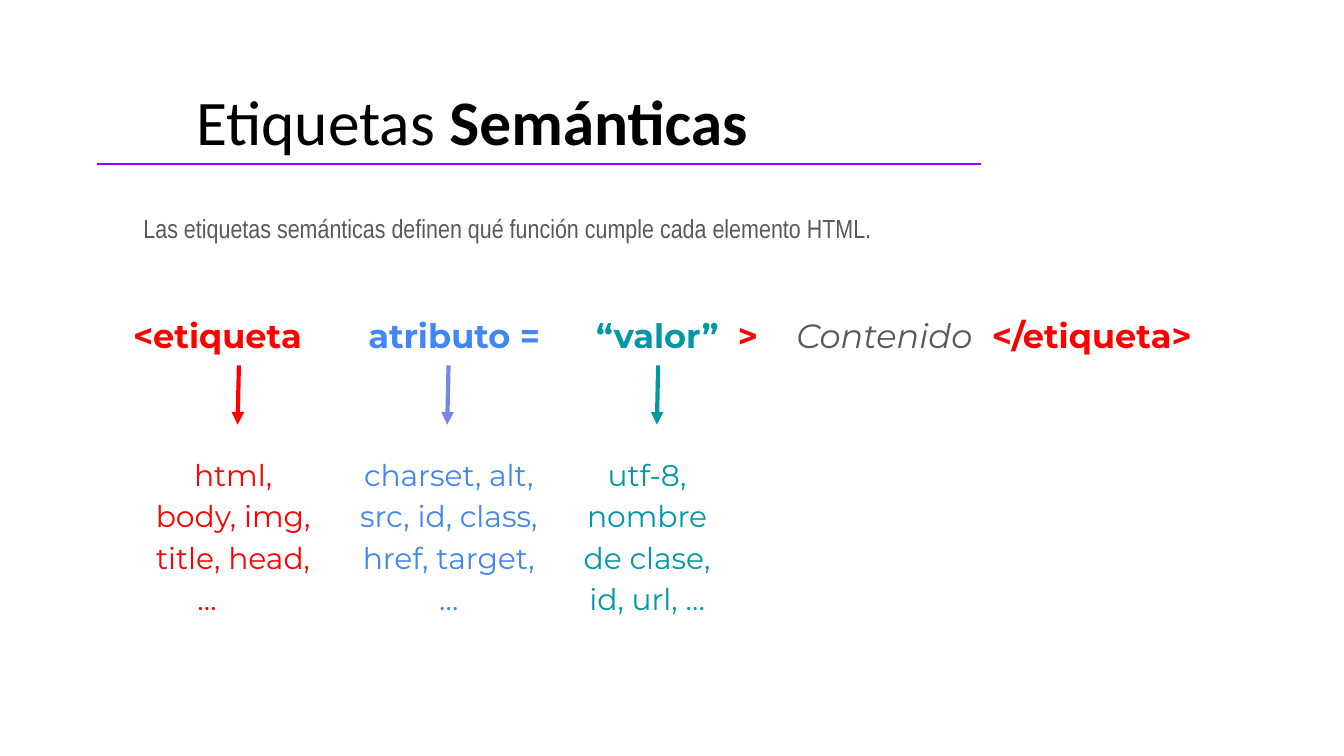
from dataclasses import dataclass

from lxml import etree
from pptx import Presentation
from pptx.dml.color import RGBColor
from pptx.enum.shapes import MSO_CONNECTOR
from pptx.enum.text import MSO_ANCHOR, MSO_AUTO_SIZE, PP_ALIGN
from pptx.oxml.ns import qn
from pptx.util import Pt

STRAIGHT = MSO_CONNECTOR.STRAIGHT
TOP = MSO_ANCHOR.TOP
FIXED_SIZE = MSO_AUTO_SIZE.NONE
LEFT, CENTER = PP_ALIGN.LEFT, PP_ALIGN.CENTER

COLORS = {
    "black": "000000",
    "gray": "595959",
    "red": "FF0000",
    "blue": "4285F4",
    "periwinkle": "7685E6",
    "teal": "0097A7",
    "purple": "9900FF",
}
INSET = 7.2
ARROW_TOP, ARROW_BOTTOM = 195.8, 227.5
COLUMN_TOP, COLUMN_HEIGHT = 234.7, 126


@dataclass(frozen=True)
class Span:
    text: str
    color: str
    bold: bool = False
    italic: bool = False


@dataclass(frozen=True)
class Column:
    left: float
    width: float
    examples: str
    color: str
    arrow_x: float
    arrow_color: str


TITLE = [Span("Etiquetas ", "black"), Span("Semánticas", "black", bold=True)]
INTRO = [Span("Las etiquetas semánticas definen qué función cumple cada elemento HTML.", "gray")]
SYNTAX = [
    Span("<etiqueta", "red", bold=True),
    Span("\tatributo =", "blue", bold=True),
    Span("\t“valor”", "teal", bold=True),
    Span("\t>", "red", bold=True),
    Span("\tContenido", "gray", italic=True),
    Span("\t</etiqueta>", "red", bold=True),
]
SYNTAX_TABS = [126, 248, 324, 355.3, 460]
COLUMNS = [
    Column(75.6, 98.6, "html, body, img, title, head,", "red", 128, "red"),
    Column(184.3, 112.3, "charset, alt, src, id, class, href, target, …", "blue", 240.3, "periwinkle"),
    Column(297.4, 98.6, "utf-8, nombre de clase, id, url, …", "teal", 352.6, "teal"),
]


def set_frame(box, left: float, top: float, width: float, height: float):
    box.left, box.top, box.width, box.height = Pt(left), Pt(top), Pt(width), Pt(height)
    frame = box.text_frame
    frame.word_wrap = True
    frame.auto_size = FIXED_SIZE
    frame.vertical_anchor = TOP
    frame.margin_left = frame.margin_right = Pt(INSET)
    frame.margin_top = frame.margin_bottom = Pt(INSET)
    return frame


def add_box(page, left: float, top: float, width: float, height: float):
    box = page.shapes.add_textbox(Pt(left), Pt(top), Pt(width), Pt(height))
    return set_frame(box, left, top, width, height)


def add_spans(para, spans: list[Span], font: str, size: float, align=LEFT) -> None:
    para.alignment = align
    for span in spans:
        run = para.add_run()
        run.text = span.text
        run.font.name = font
        run.font.size = Pt(size)
        run.font.bold = span.bold
        run.font.italic = span.italic
        run.font.color.rgb = RGBColor.from_string(COLORS[span.color])


def add_tabs(para, stops: list[float]) -> None:
    tabs = etree.SubElement(para._p.get_or_add_pPr(), qn("a:tabLst"))
    for stop in stops:
        etree.SubElement(tabs, qn("a:tab"), pos=str(Pt(stop)), algn="l")


def add_line(page, start: tuple[float, float], end: tuple[float, float],
             color: str, width: float, arrow: bool = False) -> None:
    line = page.shapes.add_connector(STRAIGHT, *map(Pt, start + end))
    line.line.color.rgb = RGBColor.from_string(COLORS[color])
    line.line.width = Pt(width)
    if arrow:
        etree.SubElement(line.line._get_or_add_ln(), qn("a:tailEnd"), type="triangle")
    etree.SubElement(line._element.spPr, qn("a:effectLst"))


def add_column(page, column: Column) -> None:
    frame = add_box(page, column.left, COLUMN_TOP, column.width, COLUMN_HEIGHT)
    para = frame.paragraphs[0]
    para.line_spacing = 1.15
    add_spans(para, [Span(column.examples, column.color)], "Montserrat", 16, CENTER)
    add_line(page, (column.arrow_x, ARROW_TOP), (column.arrow_x - 0.7, ARROW_BOTTOM),
             column.arrow_color, 2.25, arrow=True)
    if column is COLUMNS[0]:
        ellipsis = frame.add_paragraph()
        ellipsis.line_spacing = 1.15
        add_spans(ellipsis, [Span("…", column.color)], "Montserrat", 16, CENTER)
        ellipsis._p.get_or_add_pPr().set("marR", str(Pt(28)))


def main() -> None:
    deck = Presentation()
    deck.slide_width, deck.slide_height = Pt(720), Pt(405)
    page = deck.slides.add_slide(deck.slide_layouts[5])

    title = set_frame(page.shapes.title, 97.9, 36.7, 498.2, 42.5)
    add_spans(title.paragraphs[0], TITLE, "Calibri", 34)
    add_line(page, (51.8, 87.8), (525.6, 87.8), "purple", 0.75)

    intro = add_box(page, 69.8, 106.6, 552.2, 39.6)
    add_spans(intro.paragraphs[0], INTRO, "Arial Narrow", 14)

    syntax = add_box(page, 29.5, 158.4, 651.6, 30.2)
    syntax.margin_left = Pt(41.8)
    para = syntax.paragraphs[0]
    para.line_spacing = 1.15
    add_spans(para, SYNTAX, "Montserrat", 18)
    add_tabs(para, SYNTAX_TABS)

    for column in COLUMNS:
        add_column(page, column)

    deck.save("out.pptx")


if __name__ == "__main__":
    main()
